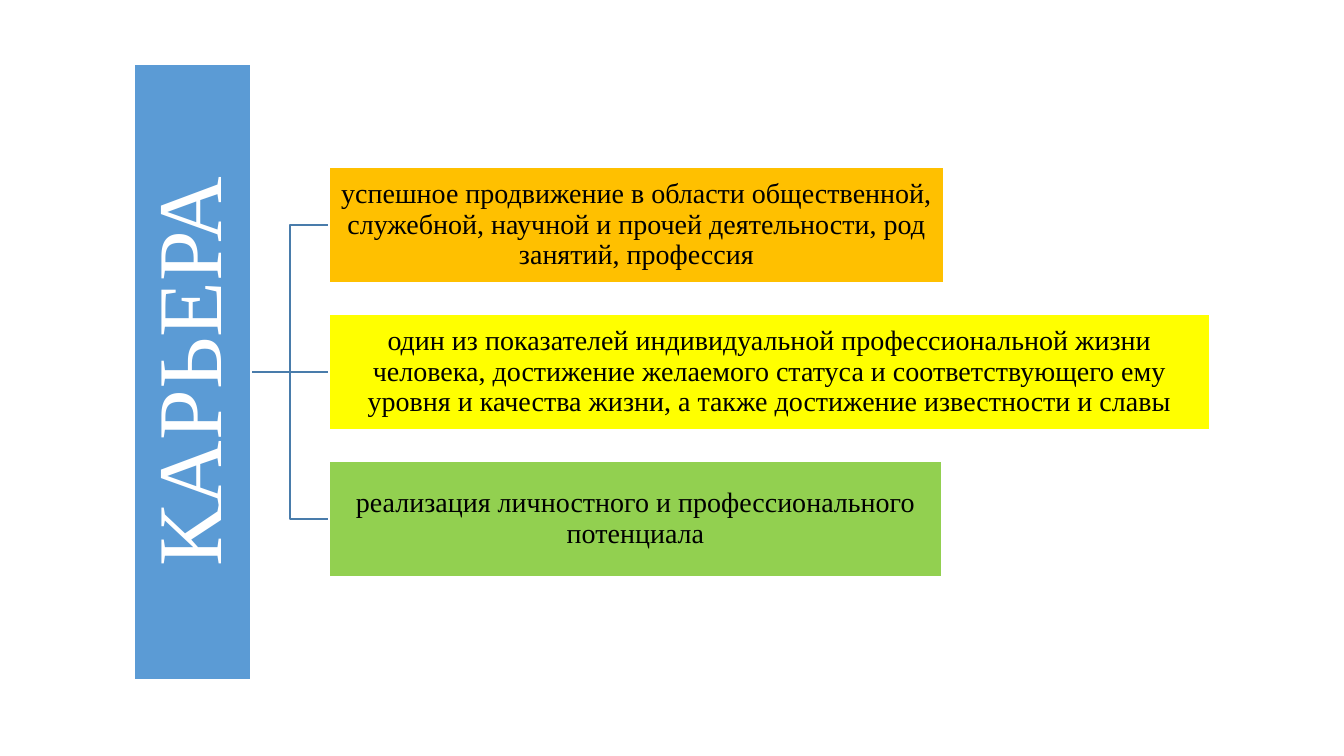
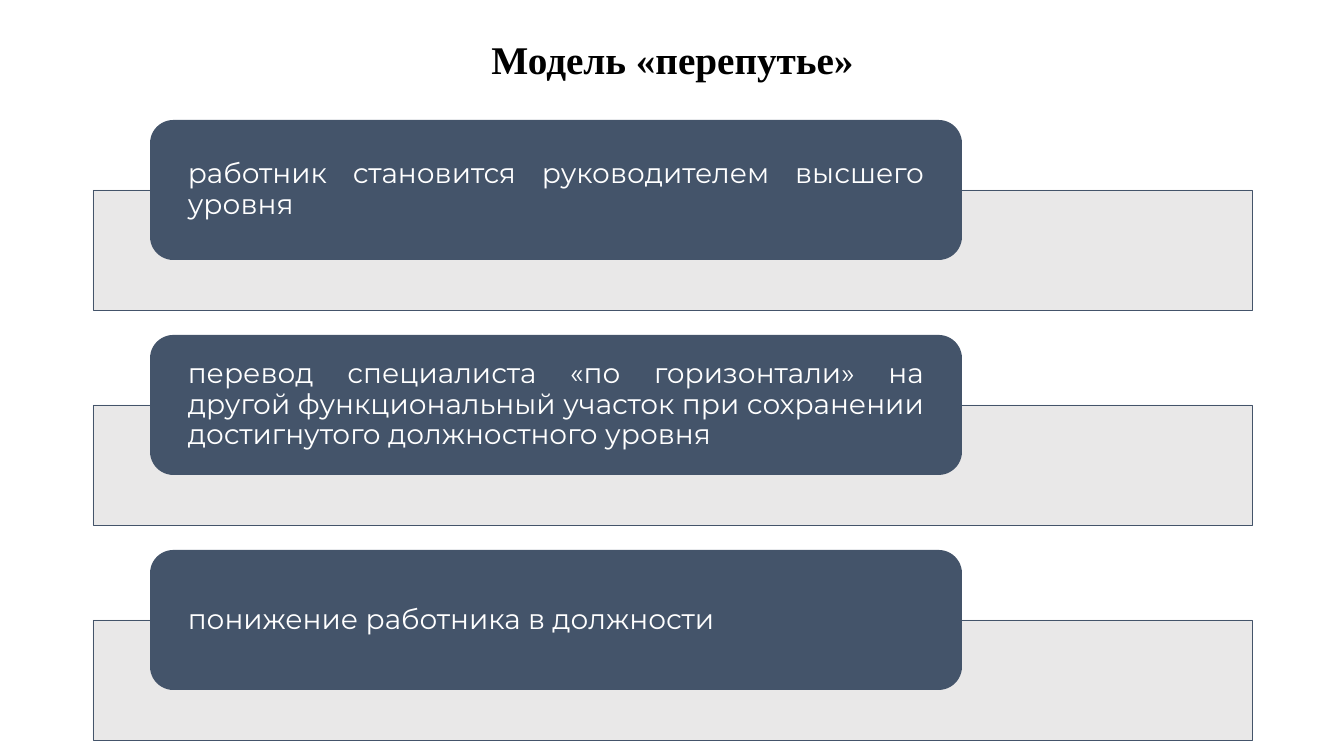
import pptx
import pptx.dml.color
import pptx.enum.shapes
import pptx.enum.text
import pptx.oxml.ns
import pptx.util
from dataclasses import dataclass
from lxml import etree

# Shared scale, colours and fonts
PX = 6858000 / 756
SERIF, SANS = "Times New Roman", "Montserrat"
WHITE, BLACK, NAVY = "FFFFFF", "000000", "44546A"
SHAPE = pptx.enum.shapes.MSO_SHAPE
LINK = pptx.enum.shapes.MSO_CONNECTOR
ALIGN = pptx.enum.text.PP_ALIGN
qn = pptx.oxml.ns.qn


@dataclass
class Box:
    x: int
    y: int
    w: int
    h: int


@dataclass
class Style:
    name: str
    size: int
    color: str
    align: ALIGN = ALIGN.CENTER
    bold: bool = False
    side: int = 1   # left and right inset
    edge: int = 1   # top and bottom inset


@dataclass
class Term:
    text: str
    width: int
    fill: str


TITLE = Style(SERIF, 28, BLACK, bold=True, side=10, edge=5)
ROOT = Style(SERIF, 65, WHITE, side=5, edge=5)
NOTE = Style(SERIF, 20, BLACK)
CARD = Style(SANS, 20, WHITE, ALIGN.JUSTIFY, side=31, edge=0)

TERMS = [
    Term("успешное продвижение в области общественной, служебной, научной "
         "и прочей деятельности, род занятий, профессия", 615, "FFC000"),
    Term("один из показателей индивидуальной профессиональной жизни человека, "
         "достижение желаемого статуса и соответствующего ему уровня и качества "
         "жизни, а также достижение известности и славы", 881, "FFFF00"),
    Term("реализация личностного и профессионального потенциала", 613, "92D050"),
]
PATHS = [
    "работник становится руководителем высшего уровня",
    "перевод специалиста «по горизонтали» на другой функциональный участок "
    "при сохранении достигнутого должностного уровня",
    "понижение работника в должности",
]


def px(n: int) -> int:
    return round(n * PX)


def rgb(code: str) -> pptx.dml.color.RGBColor:
    return pptx.dml.color.RGBColor.from_string(code)


def area(box: Box) -> list[int]:
    return [px(n) for n in (box.x, box.y, box.w, box.h)]


def write(shape, text: str, style: Style) -> None:
    frame = shape.text_frame
    frame.text = text
    look = {
        "word_wrap": True,
        "vertical_anchor": pptx.enum.text.MSO_ANCHOR.MIDDLE,
        "margin_left": px(style.side), "margin_right": px(style.side),
        "margin_top": px(style.edge), "margin_bottom": px(style.edge),
    }
    for key, value in look.items():
        setattr(frame, key, value)
    para = frame.paragraphs[0]
    para.alignment = style.align
    para.line_spacing = 0.9
    font = para.runs[0].font
    face = {"name": style.name, "size": pptx.util.Pt(style.size), "bold": style.bold}
    for key, value in face.items():
        setattr(font, key, value)
    font.color.rgb = rgb(style.color)


def block(slide, box: Box, fill: str, line: str = "", width: float = 1,
          kind: SHAPE = SHAPE.RECTANGLE):
    shape = slide.shapes.add_shape(kind, *area(box))
    shape.shadow.inherit = False
    shape.fill.solid()
    shape.fill.fore_color.rgb = rgb(fill)
    if line:
        shape.line.color.rgb = rgb(line)
        shape.line.width = pptx.util.Pt(width)
    else:
        shape.line.fill.background()
    return shape


def join(slide, start, end, kind: LINK) -> None:
    line = slide.shapes.add_connector(kind, 0, 0, 0, 0)
    line.begin_connect(start, 3)
    line.end_connect(end, 1)
    line.line.color.rgb = rgb("497CAB")
    line.line.width = pptx.util.Pt(1)
    node = line.element
    etree.SubElement(node.spPr, qn("a:effectLst"))
    node.getparent().insert(2, node)  # behind the boxes


def career(slide) -> None:
    # Vertical heading
    root = block(slide, Box(134, 64, 117, 616), "5B9BD5", WHITE)
    write(root, "КАРЬЕРА", ROOT)
    root.text_frame._txBody.bodyPr.set("vert", "vert270")
    # Meanings, each joined to the heading
    for i, term in enumerate(TERMS):
        note = block(slide, Box(329, 167 + 147 * i, term.width, 116), term.fill, WHITE)
        write(note, term.text, NOTE)
        join(slide, root, note, LINK.STRAIGHT if i == 1 else LINK.ELBOW)


def cross(slide) -> None:
    # Title
    title = slide.shapes.add_textbox(*area(Box(93, 40, 1159, 44)))
    write(title, "Модель «перепутье»", TITLE)
    # Pale panels with cards on top
    for i, text in enumerate(PATHS):
        top = 120 + 215 * i
        panel = block(slide, Box(93, top + 70, 1159, 120), "E7E6E6", NAVY, 0.5)
        tint = panel.element.spPr.find(qn("a:solidFill"))[0]
        etree.SubElement(tint, qn("a:alpha"), val="90000")
        card = block(slide, Box(150, top, 812, 140), NAVY, kind=SHAPE.ROUNDED_RECTANGLE)
        write(card, text, CARD)


def main() -> None:
    deck = pptx.Presentation()
    deck.slide_width, deck.slide_height = px(1344), px(756)
    for draw in (career, cross):
        draw(deck.slides.add_slide(deck.slide_layouts[6]))
    deck.save("out.pptx")


if __name__ == "__main__":
    main()
